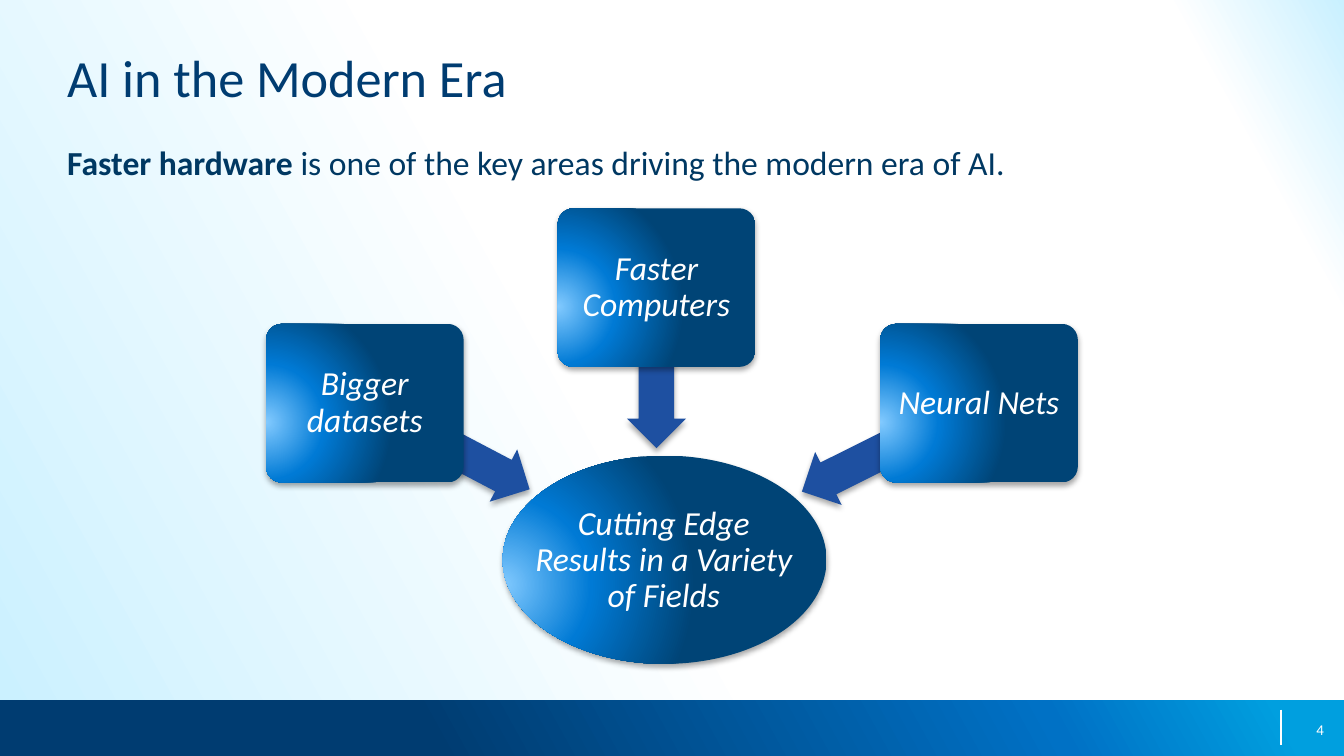
from lxml import etree
from pptx import Presentation
from pptx.dml.color import RGBColor
from pptx.enum.shapes import MSO_CONNECTOR as Connector, MSO_SHAPE as Shape
from pptx.enum.text import MSO_ANCHOR as Anchor, PP_ALIGN as Align
from pptx.oxml import parse_xml
from pptx.oxml.ns import nsdecls, qn
from pptx.util import Inches, Pt

COLORS = {
    "title": "003C71", "body": "003862", "white": "FFFFFF", "arrow": "1E50A1",
    "ice": "C9F0FF", "glow": "82CAFF", "azure": "007AD5", "deep": "004476",
    "blue": "0071C5", "cyan": "009FDF", "black": "000000",
}
FONT = "Calibri"
SLANT = '<a:lin ang="19860000" scaled="0"/>'
GLOW = ('<a:path path="circle"><a:fillToRect l="-20000" t="62000" '
        'r="120000" b="38000"/></a:path>')
GLOSS = [(0, "glow"), (46, "azure"), (100, "deep")]


def color(name):
    """Return the named colour."""
    return RGBColor.from_string(COLORS[name])


def set_gradient(fill, parent, stops, direction):
    """Give the fill held by parent a gradient."""
    fill.solid()
    marks = "".join(f'<a:gs pos="{at * 1000}"><a:srgbClr val="{COLORS[name]}"/></a:gs>'
                    for at, name in stops)
    gradient = parse_xml(f'<a:gradFill {nsdecls("a")} rotWithShape="1">'
                         f'<a:gsLst>{marks}</a:gsLst>{direction}</a:gradFill>')
    parent.replace(parent.find(qn("a:solidFill")), gradient)


def add_shadow(shape):
    """Add a soft shadow straight below the shape."""
    effects = shape.element.spPr.find(qn("a:effectLst"))
    effects.append(parse_xml(
        f'<a:outerShdw {nsdecls("a")} blurRad="{Pt(3)}" dist="{Pt(1.8)}" dir="5400000" '
        f'rotWithShape="0"><a:srgbClr val="{COLORS["black"]}"><a:alpha val="35000"/>'
        '</a:srgbClr></a:outerShdw>'))


def add_plain_shape(page, kind, box):
    """Add a shape with no outline or shadow."""
    shape = page.shapes.add_shape(kind, *map(Inches, box))
    shape.shadow.inherit = False
    shape.line.fill.background()
    return shape


def write(shape, text, size=18, ink="white", lead="", italic=False,
          align=Align.LEFT, anchor=Anchor.MIDDLE, inset=0, spacing=None):
    """Write one paragraph, with an optional bold lead, into a shape."""
    frame = shape.text_frame
    frame.word_wrap = True
    frame.vertical_anchor = anchor
    frame.margin_left = frame.margin_right = Inches(inset)
    frame.margin_top = frame.margin_bottom = Inches(inset)
    para = frame.paragraphs[0]
    para.alignment = align
    para.line_spacing = spacing
    for words, bold in ((lead, True), (text, False)):
        if words:
            span = para.add_run()
            span.text = words
            span.font.name, span.font.size = FONT, Pt(size)
            span.font.bold, span.font.italic = bold, italic
            span.font.color.rgb = color(ink)


def add_text(page, box, text, **style):
    """Add a text box."""
    write(page.shapes.add_textbox(*map(Inches, box)), text, **style)


def add_background(page):
    """Paint the pale slanted background."""
    fill = page.background.fill
    fill.solid()
    set_gradient(fill, page.element.find(f'.//{qn("p:bgPr")}'),
                 [(0, "ice"), (45, "white"), (90, "white"), (100, "ice")], SLANT)


def add_footer(page, box, number):
    """Add the footer band, its divider and the page number."""
    left, top, width, height = box
    band = add_plain_shape(page, Shape.RECTANGLE, box)
    set_gradient(band.fill, band.element.spPr,
                 [(32, "title"), (78, "blue"), (95, "cyan")], SLANT)
    right = left + width
    divider_x = Inches(right - 0.47)
    divider = page.shapes.add_connector(
        Connector.STRAIGHT, divider_x, Inches(top + 0.07), divider_x, Inches(top + 0.33))
    divider.line.color.rgb = color("white")
    divider.line.width = Pt(0.75)
    etree.SubElement(divider.element.spPr, qn("a:effectLst"))
    add_text(page, (right - 0.3, top + 0.15, 0.15, 0.14), number, size=8, align=Align.RIGHT)


def add_heading(page, box):
    """Add the title and the sentence below it."""
    left, top, width, height = box
    add_text(page, box, "AI in the Modern Era", size=28, ink="title", anchor=Anchor.TOP)
    add_text(page, (left, top + 0.72, width + 0.99, 0.3),
             "is one of the key areas driving the modern era of AI.",
             lead="Faster hardware ", ink="body")


def add_glossy_shape(page, kind, box):
    """Add a shape with the glossy blue fill and a shadow."""
    shape = add_plain_shape(page, kind, box)
    set_gradient(shape.fill, shape.element.spPr, GLOSS, GLOW)
    add_shadow(shape)
    return shape


def add_arrow(page, box, rotation):
    """Add a block arrow turned toward the result."""
    arrow = add_plain_shape(page, Shape.LEFT_ARROW, box)
    arrow.adjustments[0], arrow.adjustments[1] = 0.6, 0.5
    arrow.rotation = rotation
    arrow.fill.solid()
    arrow.fill.fore_color.rgb = color("arrow")
    add_shadow(arrow)


def add_diagram(page, box):
    """Add three drivers pointing at one result."""
    left, top, width, height = box
    label = {"italic": True, "align": Align.CENTER, "spacing": 0.9}
    oval = (left + 1.76, top + 1.84, 2.41, 1.55)
    add_glossy_shape(page, Shape.OVAL, oval)
    add_text(page, (oval[0] + 0.17, oval[1] + 0.32, 2.06, 0.92),
             "Cutting Edge Results in a Variety of Fields", inset=0.01, **label)
    drivers = [
        ("Bigger datasets", 0, 0.86, (0.66, 1.55, 1.38), 207.7),
        ("Faster Computers", 2.17, 0, (2.31, 0.97, 1.19), 270),
        ("Neural Nets", 4.57, 0.86, (3.91, 1.56, 1.47), 333.5),
    ]
    for text, across, down, (arrow_x, arrow_y, length), rotation in drivers:
        add_arrow(page, (left + arrow_x, top + arrow_y, length, 0.44), rotation)
        card = add_glossy_shape(page, Shape.ROUNDED_RECTANGLE,
                                (left + across, top + down, 1.47, 1.18))
        card.adjustments[0] = 0.1
        write(card, text, inset=0.04, **label)


def main():
    """Build and save the deck."""
    deck = Presentation()
    deck.slide_width = Inches(10)
    deck.slide_height = deck.slide_width * 9 // 16
    page = deck.slides.add_slide(deck.slide_layouts[6])
    add_background(page)
    add_footer(page, (0, 5.21, 10, 0.42), "4")
    add_heading(page, (0.5, 0.34, 9, 0.95))
    add_diagram(page, (1.98, 1.55, 6.04, 3.39))
    deck.save("out.pptx")


if __name__ == "__main__":
    main()
